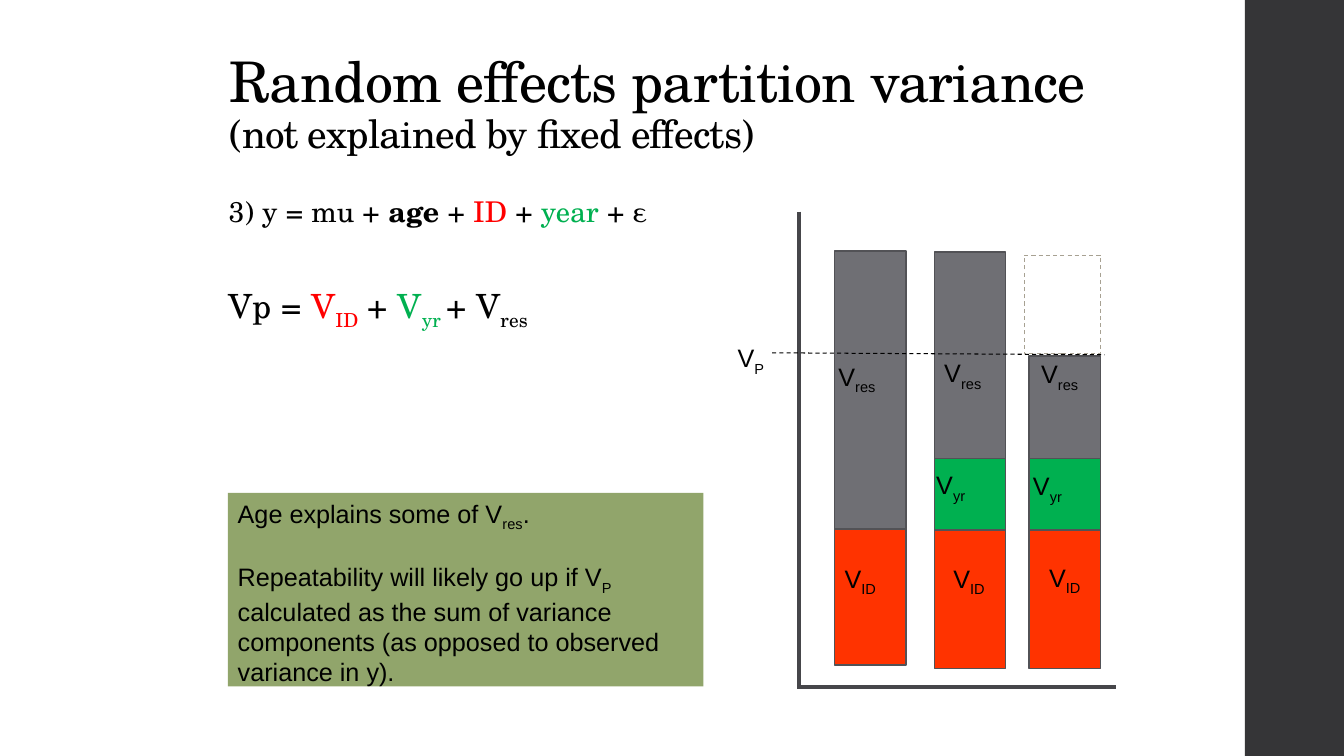
from pptx import Presentation
from pptx.dml.color import RGBColor
from pptx.enum.dml import MSO_LINE_DASH_STYLE as Dash
from pptx.enum.shapes import MSO_CONNECTOR as Connector, MSO_SHAPE as Shape
from pptx.enum.text import MSO_ANCHOR as Anchor, PP_ALIGN as Align
from pptx.oxml.ns import qn
from pptx.util import Pt

COLORS = {
    "black": "000000", "white": "FFFFFF", "sidebar": "353537",
    "red": "FF0000", "green": "00B050", "id": "FF3300", "yr": "00B050",
    "res": "6F6F74", "outline": "525256", "axis": "46464A",
    "ghost": "A7A192", "note": "91A56B",
}
SERIF = "TeX Gyre Schola"
SUB = {"baseline": -25000}


def rgb(name):
    return RGBColor.from_string(COLORS[name])


def write(shape, paragraphs, font="Arial", size=18, color="black", spacing=0,
          line_spacing=1.0, gap=0, after=0, anchor=Anchor.TOP):
    """Fill a shape with paragraphs, each a list of (text, overrides) runs."""
    frame = shape.text_frame
    frame.word_wrap = True
    frame.vertical_anchor = anchor
    for index, runs in enumerate(paragraphs):
        paragraph = frame.add_paragraph() if index else frame.paragraphs[0]
        paragraph.alignment = Align.LEFT
        paragraph.line_spacing = line_spacing
        paragraph.space_before = Pt(gap if index else 0)
        paragraph.space_after = Pt(after)
        for text, overrides in runs:
            run = paragraph.add_run()
            run.text = text
            run.font.name = font
            run.font.size = Pt(overrides.get("size", size))
            run.font.bold = overrides.get("bold", False)
            run.font.color.rgb = rgb(overrides.get("color", color))
            properties = run._r.get_or_add_rPr()
            properties.set("spc", str(spacing))
            if "baseline" in overrides:
                properties.set("baseline", str(overrides["baseline"]))


presentation = Presentation()
presentation.slide_width, presentation.slide_height = Pt(960), Pt(540)
slide = presentation.slides.add_slide(presentation.slide_layouts[6])
shapes = slide.shapes

# Rectangles: left, top, width, height, fill, outline, outline width
bar_width = 51
bars = [
    (596.2, 475.2, [("id", 378), ("res", 179.3)]),
    (667.4, 477.4, [("id", 378.7), ("yr", 327.6), ("res", 180)]),
    (735.1, 477.4, [("id", 378.7), ("yr", 327.6), ("res", 254.2)]),
]
rectangles = [(889.2, 0, 70.8, 540, "sidebar", None, 0)]
for left, bottom, segments in bars:
    for component, top in segments:
        rectangles.append((left, top, bar_width, bottom - top, component, "outline", 1.1))
        bottom = top
rectangles.append((162.7, 352.1, 339.8, 138.2, "note", None, 0))
rectangles.append((731.5, 182.2, 54.7, 70.6, "white", "ghost", 0.75))

drawn = {}
for left, top, width, height, fill, outline, weight in rectangles:
    rectangle = shapes.add_shape(Shape.RECTANGLE, Pt(left), Pt(top), Pt(width), Pt(height))
    rectangle.shadow.inherit = False
    rectangle.fill.solid()
    rectangle.fill.fore_color.rgb = rgb(fill)
    if outline:
        rectangle.line.color.rgb = rgb(outline)
        rectangle.line.width = Pt(weight)
    else:
        rectangle.line.fill.background()
    drawn[fill] = rectangle
drawn["white"].line.dash_style = Dash.DASH

# Axes and the dashed total-variance line
for x1, y1, x2, y2, color, weight, dash in [
    (571, 151.2, 571, 491, "axis", 3, None),
    (569.5, 491, 797.5, 491, "axis", 3, None),
    (551.5, 252, 789, 253.4, "black", 0.75, Dash.DASH),
]:
    line = shapes.add_connector(Connector.STRAIGHT, Pt(x1), Pt(y1), Pt(x2), Pt(y2))
    line.line.color.rgb = rgb(color)
    line.line.width = Pt(weight)
    line.line.dash_style = dash
    properties = line._element.spPr
    properties.append(properties.makeelement(qn("a:effectLst"), {}))

# Variance labels
for subscript, left, top in [
    ("P", 519.8, 241.2),
    ("ID", 596.2, 398.9), ("res", 591.8, 254.2),
    ("ID", 673.9, 398.9), ("yr", 661.7, 331.9), ("res", 667.4, 252),
    ("ID", 742.3, 398.2), ("yr", 730.8, 332.6), ("res", 736.6, 252.7),
]:
    label = shapes.add_textbox(Pt(left), Pt(top), Pt(55.4), Pt(29))
    write(label, [[("V", {}), (subscript, SUB)]])

title = shapes.add_textbox(Pt(157), Pt(26), Pt(648), Pt(90))
write(title, [
    [("Random effects partition variance", {})],
    [("(not explained by fixed effects)", {"size": 28})],
], font=SERIF, size=40, spacing=-50, line_spacing=0.9, anchor=Anchor.BOTTOM)

red, green = {"color": "red"}, {"color": "green"}
equations = shapes.add_textbox(Pt(156.2), Pt(140.4), Pt(648), Pt(126.7))
write(equations, [
    [("3) y = mu + ", {}), ("age", {"bold": True}), (" + ", {}),
     ("ID ", red), ("+ ", {}), ("year ", green), ("+ ε", {})],
    [("Vp = ", {"size": 23.8}), ("V", {"size": 23.8} | red),
     ("ID", {"size": 23.8} | red | SUB), (" + ", {"size": 23.8}),
     ("V", {"size": 23.8} | green), ("yr ", {"size": 23.8} | green | SUB),
     ("+ V", {"size": 23.8}), ("res", {"size": 23.8} | SUB)],
], font=SERIF, size=20.4, spacing=10, line_spacing=0.75, gap=44, after=2)

write(drawn["note"], [
    [("Age explains some of V", {}), ("res", SUB), (".", {})],
    [("Repeatability will likely go up if V", {}), ("P", SUB),
     (" calculated as the sum of variance components "
      "(as opposed to observed variance in y).", {})],
], gap=21)

presentation.save("out.pptx")
